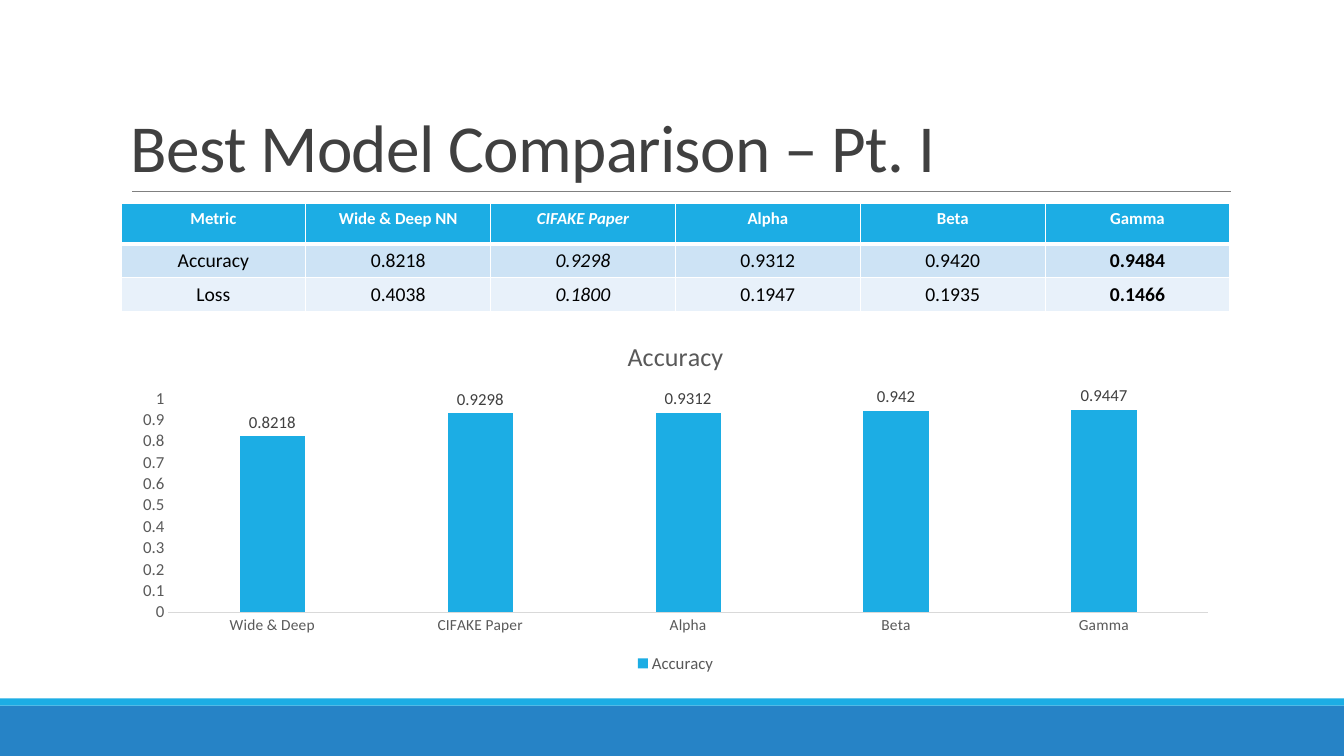
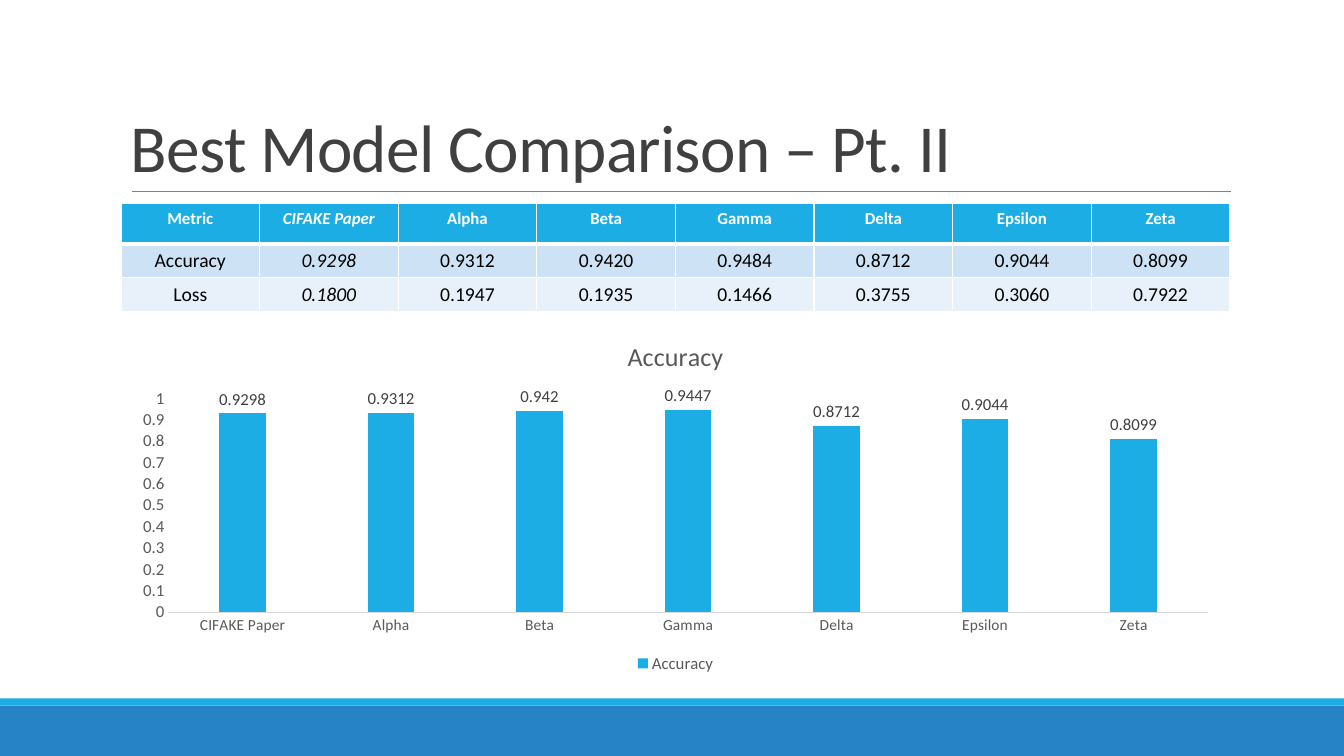
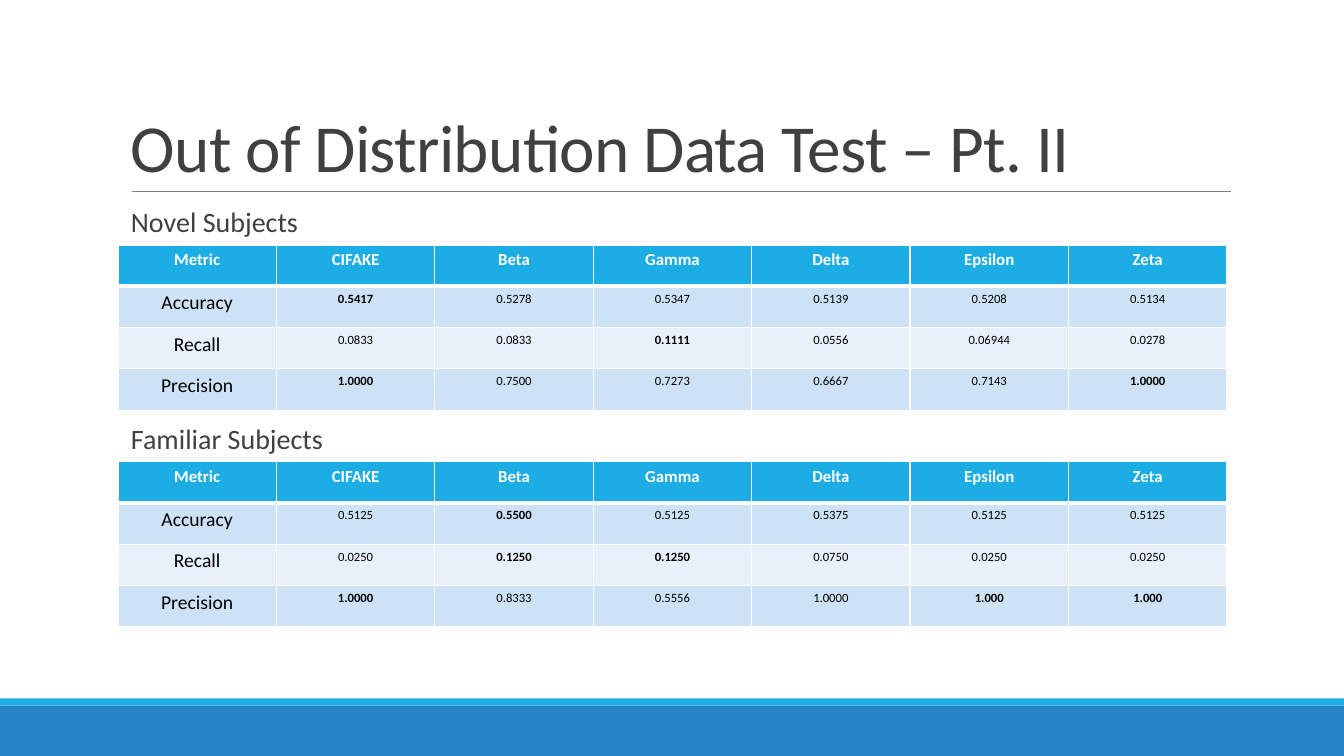
"""Builds three slides that compare image classifiers with tables and charts."""
from lxml import etree
from pptx import Presentation
from pptx.chart.data import CategoryChartData
from pptx.dml.color import RGBColor
from pptx.enum.chart import XL_CHART_TYPE, XL_LABEL_POSITION, XL_LEGEND_POSITION, XL_TICK_MARK
from pptx.enum.shapes import MSO_CONNECTOR, MSO_SHAPE
from pptx.enum.text import MSO_ANCHOR, PP_ALIGN
from pptx.oxml.ns import qn
from pptx.util import Inches, Pt

COLUMN = XL_CHART_TYPE.COLUMN_CLUSTERED
OUTSIDE = XL_LABEL_POSITION.OUTSIDE_END
BELOW = XL_LEGEND_POSITION.BOTTOM
NO_TICK = XL_TICK_MARK.NONE
STRAIGHT = MSO_CONNECTOR.STRAIGHT
RECT = MSO_SHAPE.RECTANGLE
BOTTOM = MSO_ANCHOR.BOTTOM
CENTER = PP_ALIGN.CENTER


class Theme:
    """Colours, font and type sizes."""
    font = "Calibri"
    blue = RGBColor.from_string("2683C6")
    cyan = RGBColor.from_string("1CADE4")
    rule = RGBColor.from_string("808080")
    axis = RGBColor.from_string("D9D9D9")
    dark = RGBColor.from_string("404040")
    grey = RGBColor.from_string("595959")
    black = RGBColor.from_string("000000")
    white = RGBColor.from_string("FFFFFF")
    bands = [RGBColor.from_string("E8F1FA"), RGBColor.from_string("CDE3F5")]
    title, sub, chart = Pt(48), Pt(20), Pt(18.6)
    body, head, tick, small = Pt(14), Pt(12), Pt(11), Pt(9)


def style(font, size, color, bold=False, italic=False):
    """Set the look of one font."""
    font.name, font.size, font.color.rgb = Theme.font, size, color
    font.bold, font.italic = bold, italic


def grid(slide, left, top, heights, rows, size):
    """Add a table; * marks a bold cell and _ an italic one."""
    count = len(rows[0])
    table = slide.shapes.add_table(len(rows), count, Inches(left), Inches(top),
                                   Inches(11), Inches(sum(heights))).table
    table.horz_banding = False
    for col in table.columns:
        col.width = int(Inches(11) / count)
    for r, row in enumerate(rows):
        table.rows[r].height = Inches(heights[r])
        for c, text in enumerate(row):
            cell = table.cell(r, c)
            props = cell._tc.get_or_add_tcPr()
            for side in "LRTB":
                thick = (r, side) in [(0, "B"), (1, "T")]
                line = etree.SubElement(props, qn("a:ln" + side), w=str(Pt(3 if thick else 1)))
                fill = etree.SubElement(line, qn("a:solidFill"))
                etree.SubElement(fill, qn("a:srgbClr"), val=str(Theme.white))
            cell.fill.solid()
            cell.fill.fore_color.rgb = Theme.bands[r % 2] if r else Theme.cyan
            cell.text = text.lstrip("*_")
            para = cell.text_frame.paragraphs[0]
            para.alignment = CENTER
            if r == 0:
                look = Theme.head, Theme.white
            else:
                look = size if c else Theme.body, Theme.black
            style(para.font, *look, bold=r == 0 or text.startswith("*"),
                  italic=text.startswith("_"))


deck = Presentation()
deck.slide_width, deck.slide_height = Inches(13.33), Inches(7.5)

slides = []
for name in ["Best Model Comparison – Pt. I", "Best Model Comparison – Pt. II",
             "Out of Distribution Data Test – Pt. II"]:
    slide = deck.slides.add_slide(deck.slide_layouts[6])
    slides.append(slide)
    for top, height, color in [(7, 0.5, Theme.blue), (6.93, 0.07, Theme.cyan)]:
        band = slide.shapes.add_shape(RECT, 0, Inches(top), deck.slide_width, Inches(height))
        band.shadow.inherit = False
        band.fill.solid()
        band.fill.fore_color.rgb = color
        band.line.fill.background()
    rule = slide.shapes.add_connector(STRAIGHT, Inches(1.31), Inches(1.9),
                                      Inches(12.21), Inches(1.9))
    rule.line.color.rgb, rule.line.width = Theme.rule, Pt(0.5)
    etree.SubElement(rule._element.spPr, qn("a:effectLst"))
    frame = slide.shapes.add_textbox(Inches(1.2), Inches(0.31), Inches(11), Inches(1.59)).text_frame
    frame.word_wrap, frame.vertical_anchor = True, BOTTOM
    para = frame.paragraphs[0]
    para.line_spacing = 0.85
    run = para.add_run()
    run.text = name
    run._r.get_or_add_rPr().set("spc", "-50")
    style(para.font, Theme.title, Theme.dark)

best = [
    ([["Metric", "Wide & Deep NN", "_CIFAKE Paper", "Alpha", "Beta", "Gamma"],
      ["Accuracy", "0.8218", "_0.9298", "0.9312", "0.9420", "*0.9484"],
      ["Loss", "0.4038", "_0.1800", "0.1947", "0.1935", "*0.1466"]],
     {"Wide & Deep": 0.8218, "CIFAKE Paper": 0.9298, "Alpha": 0.9312,
      "Beta": 0.942, "Gamma": 0.9447}),
    ([["Metric", "_CIFAKE Paper", "Alpha", "Beta", "Gamma", "Delta", "Epsilon", "Zeta"],
      ["Accuracy", "_0.9298", "0.9312", "0.9420", "0.9484", "0.8712", "0.9044", "0.8099"],
      ["Loss", "_0.1800", "0.1947", "0.1935", "0.1466", "0.3755", "0.3060", "0.7922"]],
     {"CIFAKE Paper": 0.9298, "Alpha": 0.9312, "Beta": 0.942, "Gamma": 0.9447,
      "Delta": 0.8712, "Epsilon": 0.9044, "Zeta": 0.8099}),
]
for slide, (rows, scores) in zip(slides, best):
    grid(slide, 1.2, 2.02, [0.4, 0.33, 0.33], rows, Theme.body)
    data = CategoryChartData()
    data.categories = list(scores)
    data.add_series("Accuracy", list(scores.values()))
    chart = slide.shapes.add_chart(COLUMN, Inches(1.2), Inches(3.18), Inches(11),
                                   Inches(3.54), data).chart
    style(chart.font, Theme.head, Theme.grey)
    chart.has_title = True
    chart.chart_title.include_in_layout = False
    chart.chart_title.text_frame.text = "Accuracy"
    style(chart.chart_title.text_frame.paragraphs[0].font, Theme.chart, Theme.grey)
    chart.has_legend = True
    chart.legend.position, chart.legend.include_in_layout = BELOW, False
    style(chart.legend.font, Theme.head, Theme.grey)

    plot = chart.plots[0]
    plot.gap_width, plot.overlap, plot.vary_by_categories = 219, -27, False
    bars = plot.series[0].format.fill
    bars.solid()
    bars.fore_color.rgb = Theme.cyan
    plot.has_data_labels = True
    labels = plot.data_labels
    labels.show_value, labels.position = True, OUTSIDE
    style(labels.font, Theme.head, Theme.dark)

    cats, vals = chart.category_axis, chart.value_axis
    for axis, size in [(cats, Theme.tick), (vals, Theme.head)]:
        axis.major_tick_mark = axis.minor_tick_mark = NO_TICK
        axis.has_major_gridlines = False
        style(axis.tick_labels.font, size, Theme.grey)
    cats.format.line.color.rgb, cats.format.line.width = Theme.axis, Pt(0.75)
    vals.format.line.fill.background()
    vals.minimum_scale, vals.maximum_scale, vals.major_unit = 0, 1, 0.1

heads = ["Metric", "CIFAKE", "Beta", "Gamma", "Delta", "Epsilon", "Zeta"]
tests = {
    "Novel Subjects": [
        ["Accuracy", "*0.5417", "0.5278", "0.5347", "0.5139", "0.5208", "0.5134"],
        ["Recall", "0.0833", "0.0833", "*0.1111", "0.0556", "0.06944", "0.0278"],
        ["Precision", "*1.0000", "0.7500", "0.7273", "0.6667", "0.7143", "*1.0000"]],
    "Familiar Subjects": [
        ["Accuracy", "0.5125", "*0.5500", "0.5125", "0.5375", "0.5125", "0.5125"],
        ["Recall", "0.0250", "*0.1250", "*0.1250", "0.0750", "0.0250", "0.0250"],
        ["Precision", "*1.0000", "0.8333", "0.5556", "1.0000", "*1.000", "*1.000"]],
}
for i, (name, rows) in enumerate(tests.items()):
    top = 2.02 + 2.15 * i
    frame = slides[2].shapes.add_textbox(Inches(1.2), Inches(top), Inches(5.21),
                                         Inches(0.41)).text_frame
    frame.word_wrap = True
    frame.text = name
    para = frame.paragraphs[0]
    para.line_spacing = 0.9
    style(para.font, Theme.sub, Theme.dark)
    grid(slides[2], 1.17, top + 0.41, [0.41] * 4, [heads] + rows, Theme.small)

deck.save("out.pptx")
